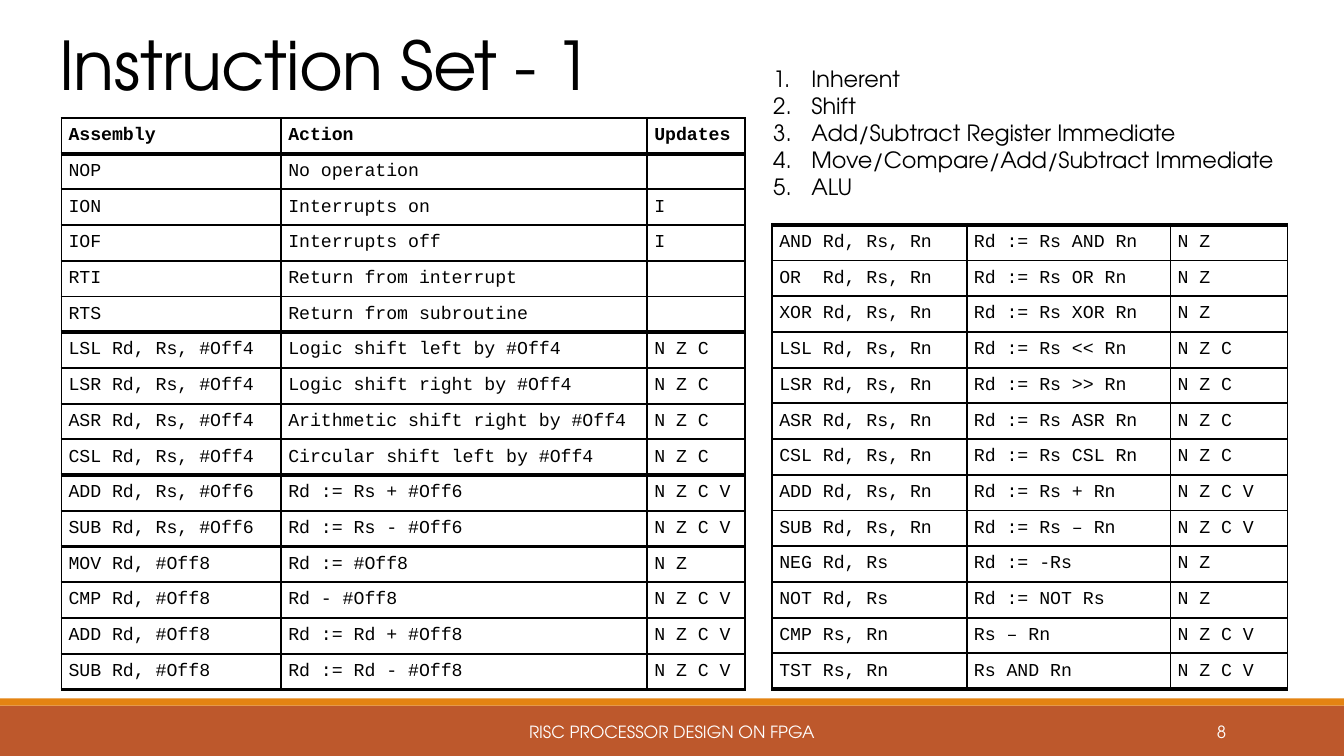
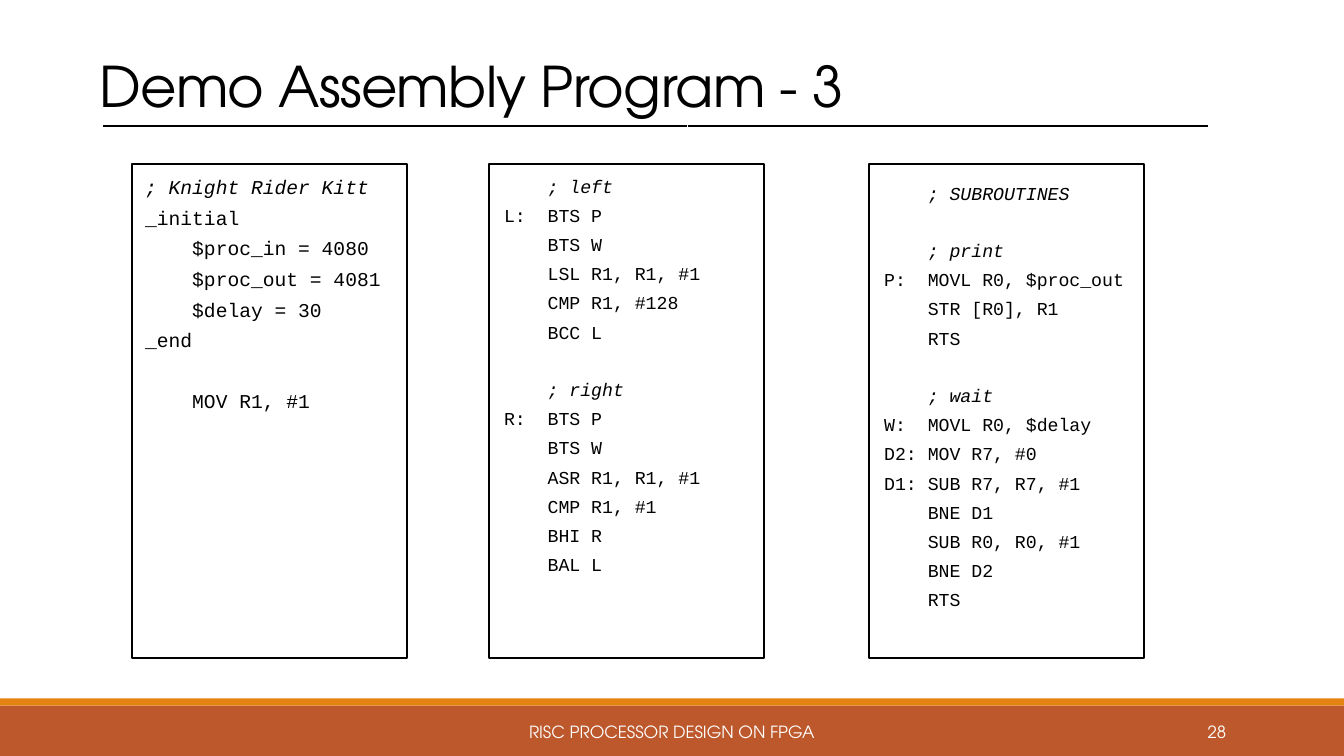
from pptx import Presentation
from pptx.dml.color import RGBColor
from pptx.enum.shapes import MSO_CONNECTOR as Connector, MSO_SHAPE as Shape
from pptx.enum.text import MSO_ANCHOR as Anchor, MSO_AUTO_SIZE as AutoSize, PP_ALIGN as Align
from pptx.oxml.ns import qn
from pptx.oxml.xmlchemy import OxmlElement
from pptx.util import Inches, Pt

COLOURS = {"ink": "000000", "paper": "FFFFFF", "band": "BD582C", "stripe": "E48312"}
SANS, MONO = "TeX Gyre Adventor", "Courier New"
FOOTER = "RISC PROCESSOR DESIGN ON FPGA"

MODES = ["Inherent", "Shift", "Add/Subtract Register Immediate",
         "Move/Compare/Add/Subtract Immediate", "ALU"]

# Each group of instructions ends with a thick rule.
GENERAL_GROUPS = [
    [("Assembly", "Action", "Updates")],
    [("NOP", "No operation", ""),
     ("ION", "Interrupts on", "I"),
     ("IOF", "Interrupts off", "I"),
     ("RTI", "Return from interrupt", ""),
     ("RTS", "Return from subroutine", "")],
    [("LSL Rd, Rs, #Off4", "Logic shift left by #Off4", "N Z C"),
     ("LSR Rd, Rs, #Off4", "Logic shift right by #Off4", "N Z C"),
     ("ASR Rd, Rs, #Off4", "Arithmetic shift right by #Off4", "N Z C"),
     ("CSL Rd, Rs, #Off4", "Circular shift left by #Off4", "N Z C")],
    [("ADD Rd, Rs, #Off6", "Rd := Rs + #Off6", "N Z C V"),
     ("SUB Rd, Rs, #Off6", "Rd := Rs - #Off6", "N Z C V")],
    [("MOV Rd, #Off8", "Rd := #Off8", "N Z"),
     ("CMP Rd, #Off8", "Rd - #Off8", "N Z C V"),
     ("ADD Rd, #Off8", "Rd := Rd + #Off8", "N Z C V"),
     ("SUB Rd, #Off8", "Rd := Rd - #Off8", "N Z C V")],
]
ALU_GROUPS = [
    [("AND Rd, Rs, Rn", "Rd := Rs AND Rn", "N Z"),
     ("OR  Rd, Rs, Rn", "Rd := Rs OR Rn", "N Z"),
     ("XOR Rd, Rs, Rn", "Rd := Rs XOR Rn", "N Z"),
     ("LSL Rd, Rs, Rn", "Rd := Rs << Rn", "N Z C"),
     ("LSR Rd, Rs, Rn", "Rd := Rs >> Rn", "N Z C"),
     ("ASR Rd, Rs, Rn", "Rd := Rs ASR Rn", "N Z C"),
     ("CSL Rd, Rs, Rn", "Rd := Rs CSL Rn", "N Z C"),
     ("ADD Rd, Rs, Rn", "Rd := Rs + Rn", "N Z C V"),
     ("SUB Rd, Rs, Rn", "Rd := Rs – Rn", "N Z C V"),
     ("NEG Rd, Rs", "Rd := -Rs", "N Z"),
     ("NOT Rd, Rs", "Rd := NOT Rs", "N Z"),
     ("CMP Rs, Rn", "Rs – Rn", "N Z C V"),
     ("TST Rs, Rn", "Rs AND Rn", "N Z C V")],
]

SETUP_CODE = """; Knight Rider Kitt
_initial
    $proc_in = 4080
    $proc_out = 4081
    $delay = 30
_end

    MOV R1, #1"""
LOOP_CODE = """    ; left
L:  BTS P
    BTS W
    LSL R1, R1, #1
    CMP R1, #128
    BCC L

    ; right
R:  BTS P
    BTS W
    ASR R1, R1, #1
    CMP R1, #1
    BHI R
    BAL L"""
SUBROUTINE_CODE = """    ; SUBROUTINES

    ; print
P:  MOVL R0, $proc_out
    STR [R0], R1
    RTS

    ; wait
W:  MOVL R0, $delay
D2: MOV R7, #0
D1: SUB R7, R7, #1
    BNE D1
    SUB R0, R0, #1
    BNE D2
    RTS"""
# code, left, left inset, top inset, text size
LISTINGS = [
    (SETUP_CODE, 1.31, 0.13, 0.13, 14),
    (LOOP_CODE, 4.85, 0.15, 0.13, 13),
    (SUBROUTINE_CODE, 8.62, 0.15, 0.2, 13),
]


def colour(name):
    return RGBColor.from_string(COLOURS[name])


def write(para, text, size, font=SANS, ink="ink", bold=False, italic=False,
          align=Align.LEFT, leading=None, before=0, after=0, tracking=None):
    para.alignment = align
    para.space_before, para.space_after = Pt(before), Pt(after)
    if leading:
        para.line_spacing = leading
    span = para.add_run()
    span.text = text
    span.font.size, span.font.name = Pt(size), font
    span.font.bold, span.font.italic = bold, italic
    span.font.color.rgb = colour(ink)
    if tracking:
        span.font._element.set("spc", str(int(tracking * 100)))


def next_para(frame, index):
    return frame.add_paragraph() if index else frame.paragraphs[0]


def add_text(page, place, text, anchor=Anchor.TOP, **style):
    frame = page.shapes.add_textbox(*map(Inches, place)).text_frame
    frame.word_wrap, frame.vertical_anchor = True, anchor
    write(frame.paragraphs[0], text, **style)


def add_rect(page, place, fill, line=None):
    box = page.shapes.add_shape(Shape.RECTANGLE, *map(Inches, place))
    box.shadow.inherit = False
    box.fill.solid()
    box.fill.fore_color.rgb = colour(fill)
    if line:
        box.line.color.rgb, box.line.width = colour("ink"), Pt(line)
    else:
        box.line.fill.background()
    return box


def add_page(deck, number, title, title_place, title_size, title_anchor):
    page = deck.slides.add_slide(deck.slide_layouts[6])
    add_rect(page, (0, 7, 13.33, 0.5), "band")
    add_rect(page, (0, 6.93, 13.33, 0.07), "stripe")
    for place, text, align in [((4.03, 7.06, 5.27, 0.4), FOOTER, Align.CENTER),
                               ((10.83, 7.06, 1.43, 0.4), str(number), Align.RIGHT)]:
        add_text(page, place, text, Anchor.MIDDLE, size=12, ink="paper", align=align)
    add_text(page, title_place, title, title_anchor,
             size=title_size, leading=0.85, tracking=-0.5)
    return page


def set_borders(cell, top, bottom):
    """Rule all four edges; top and bottom are widths in points."""
    edges = [("L", 1.5), ("R", 1.5), ("T", top), ("B", bottom)]
    for index, (side, width) in enumerate(edges):
        line = OxmlElement(f"a:ln{side}")
        line.set("w", str(Pt(width)))
        fill = OxmlElement("a:solidFill")
        ink = OxmlElement("a:srgbClr")
        ink.set("val", COLOURS["ink"])
        fill.append(ink)
        line.append(fill)
        cell._tc.get_or_add_tcPr().insert(index, line)


def add_instructions(page, left, top, widths, height, groups, has_header=False):
    rows = [(cells, index == len(group) - 1) for group in groups
            for index, cells in enumerate(group)]
    table = page.shapes.add_table(len(rows), len(widths), Inches(left), Inches(top),
                                  Inches(sum(widths)), Inches(height)).table
    table.first_row = table.horz_banding = False
    for column, width in zip(table.columns, widths):
        column.width = Inches(width)
    rule_above = 1.5 if has_header else 3
    for index, (texts, closes_group) in enumerate(rows):
        table.rows[index].height = Inches(height / len(rows))
        rule_below = 3 if closes_group else 1.5
        for cell, text in zip(table.rows[index].cells, texts):
            cell.margin_left = cell.margin_right = Inches(0.07)
            cell.margin_top = cell.margin_bottom = 0
            cell.vertical_anchor = Anchor.MIDDLE
            cell.fill.background()
            set_borders(cell, rule_above, rule_below)
            if text:
                write(cell.text_frame.paragraphs[0], text, 13, MONO,
                      bold=has_header and index == 0)
        rule_above = rule_below


def add_numbered(page, place, items):
    frame = page.shapes.add_textbox(*map(Inches, place)).text_frame
    frame.word_wrap, frame.auto_size = False, AutoSize.SHAPE_TO_FIT_TEXT
    for index, item in enumerate(items):
        para = next_para(frame, index)
        properties = para._p.get_or_add_pPr()
        properties.set("marL", str(Inches(0.38)))
        properties.set("indent", str(-Inches(0.38)))
        number = OxmlElement("a:buAutoNum")
        number.set("type", "arabicPeriod")
        properties.append(number)
        write(para, item, 16)


def add_listing(page, code, left, inset_left, inset_top, size):
    """Draw framed code: comments in italics, blank lines as space before."""
    frame = add_rect(page, (left, 1.63, 2.73, 4.9), "paper", line=1.25).text_frame
    frame.word_wrap, frame.vertical_anchor = True, Anchor.TOP
    frame.margin_left, frame.margin_top = Inches(inset_left), Inches(inset_top)
    frame.margin_right = 0
    after = 6.8
    gap = 0
    for index, line in enumerate(code.split("\n")):
        if not line:
            gap = round(size * 1.02 + after, 1)
            continue
        write(next_para(frame, index), line, size, MONO, leading=0.9,
              italic=line.lstrip().startswith(";"), before=gap, after=after)
        gap = 0


def add_rule(page, start, end, y):
    rule = page.shapes.add_connector(Connector.STRAIGHT, Inches(start), Inches(y),
                                     Inches(end), Inches(y))
    rule.line.color.rgb, rule.line.width = colour("ink"), Pt(1)
    rule._element.spPr.append(OxmlElement("a:effectLst"))


def main():
    deck = Presentation()
    deck.slide_width, deck.slide_height = Inches(13.33), Inches(7.5)

    page = add_page(deck, 8, "Instruction Set - 1", (0.49, 0.3, 7.09, 0.87), 48, Anchor.TOP)
    add_instructions(page, 0.61, 1.17, (2.18, 3.63, 0.97), 5.67, GENERAL_GROUPS,
                     has_header=True)
    add_instructions(page, 7.66, 2.23, (1.93, 2.02, 1.16), 4.61, ALU_GROUPS)
    add_numbered(page, (7.57, 0.6, 5.2, 1.45), MODES)

    page = add_page(deck, 28, "Demo Assembly Program - 3", (0.89, 0.26, 11, 0.97), 40,
                    Anchor.BOTTOM)
    for start, end in [(1.02, 6.81), (6.82, 11.98)]:
        add_rule(page, start, end, 1.25)
    for listing in LISTINGS:
        add_listing(page, *listing)

    deck.save("out.pptx")


if __name__ == "__main__":
    main()
